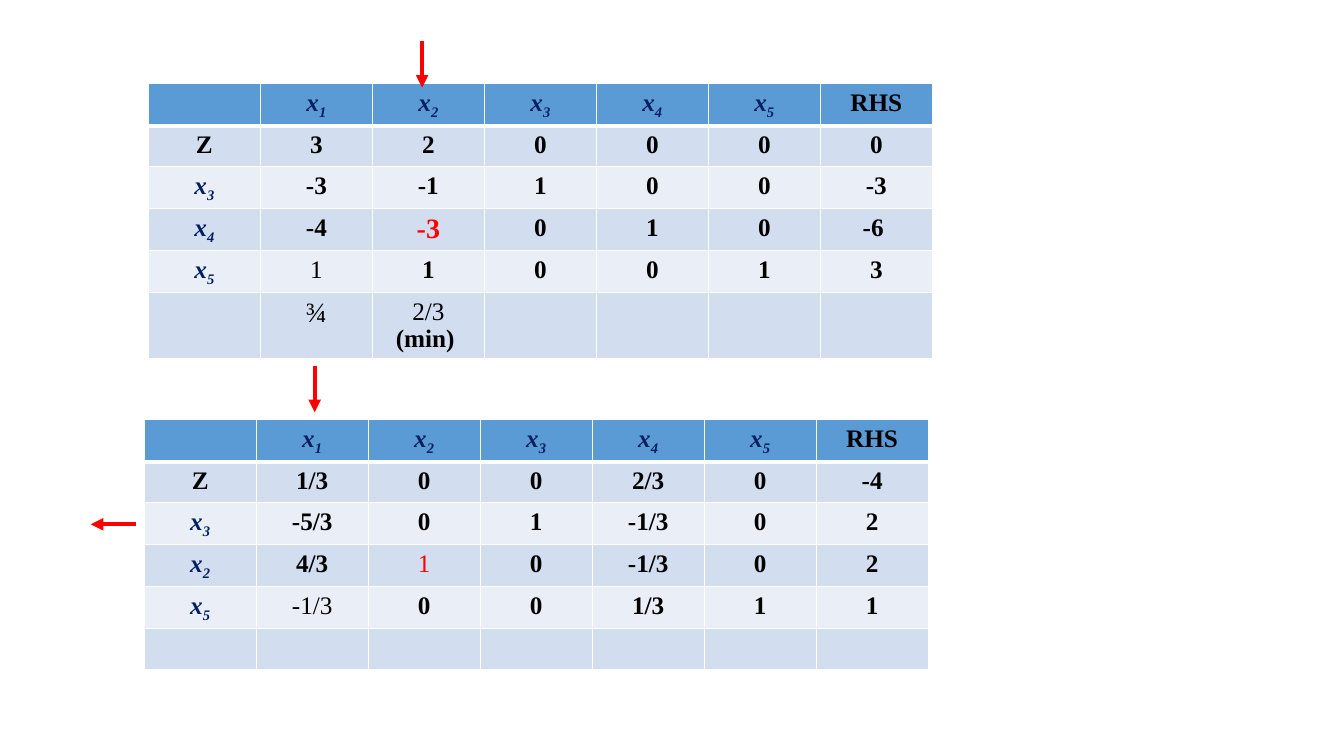
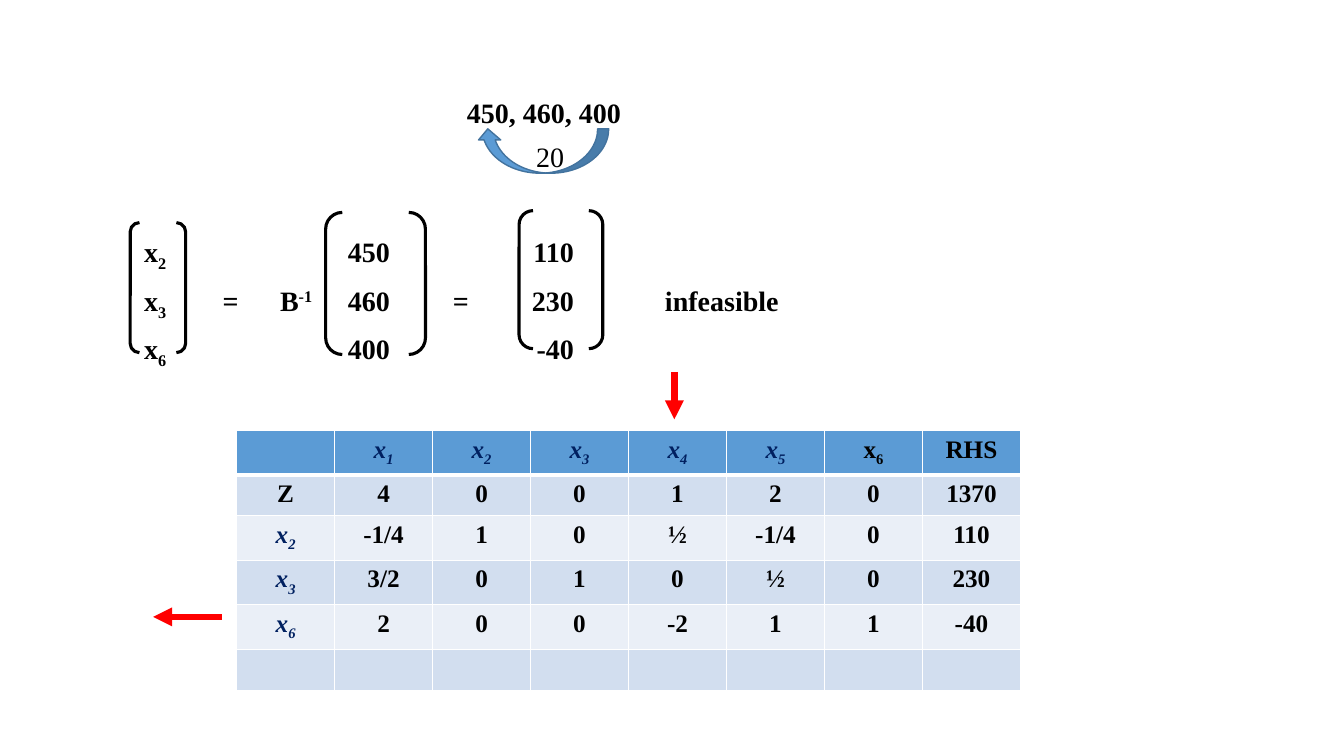
from lxml import etree
from pptx import Presentation
from pptx.dml.color import RGBColor
from pptx.enum import shapes, text
from pptx.oxml import ns
from pptx.util import Pt

# Shared look
BLACK = RGBColor(0x00, 0x00, 0x00)
WHITE = RGBColor(0xFF, 0xFF, 0xFF)
NAVY = RGBColor(0x00, 0x20, 0x60)
RED = RGBColor(0xFF, 0x00, 0x00)
BLUE = RGBColor(0x5B, 0x9B, 0xD5)
BLUE_EDGE = RGBColor(0x43, 0x73, 0x9E)
BAND_DARK = RGBColor(0xD2, 0xDE, 0xEF)
BAND_LIGHT = RGBColor(0xEA, 0xEF, 0xF7)

FONT = "Times New Roman"
CELL = {"size": 18, "bold": True, "italic": False, "color": BLACK}
VARIABLE = {**CELL, "italic": True, "color": NAVY}
FORMULA = {**CELL, "size": 20}
SCRIPTS = {"_": "-25000", "^": "30000"}
ROW_HEIGHT = 29.2


def write_span(para, words, style, baseline=None):
    span = para.add_run()
    span.text = words
    formats = {"name": FONT, **style, "size": Pt(style["size"])}
    span.font.color.rgb = formats.pop("color")
    for name, value in formats.items():
        setattr(span.font, name, value)
    if baseline:
        span._r.get_or_add_rPr().set("baseline", baseline)


def write_line(para, line, style):
    """Write tabbed fields; _ lowers and ^ raises the rest of a field."""
    for index, field in enumerate(line.split("\t")):
        mark = next((sign for sign in SCRIPTS if sign in field), None)
        base, _, script = field.partition(mark) if mark else (field, "", "")
        write_span(para, "\t" * (index > 0) + base, style)
        if mark:
            write_span(para, script, style, SCRIPTS[mark])


def add_borders(cell, row):
    properties = cell._tc.get_or_add_tcPr()
    for side in ("lnL", "lnR", "lnT", "lnB"):
        thick = (row, side) in ((0, "lnB"), (1, "lnT"))
        edge = etree.SubElement(properties, ns.qn(f"a:{side}"), w=str(Pt(3 if thick else 1)))
        fill = etree.SubElement(edge, ns.qn("a:solidFill"))
        etree.SubElement(fill, ns.qn("a:srgbClr"), val=str(WHITE))


def add_tableau(page, box, rows, special=None):
    """Simplex tableau; special maps (row, column, line) to a text style."""
    left, top, width = box
    special = special or {}
    frame = page.shapes.add_table(len(rows), len(rows[0]), Pt(left), Pt(top),
                                  Pt(width), Pt(ROW_HEIGHT * len(rows)))
    table = frame.table
    for column in table.columns:
        column.width = Pt(width / len(rows[0]))
    for r, values in enumerate(rows):
        table.rows[r].height = Pt(ROW_HEIGHT)
        for c, value in enumerate(values):
            cell = table.cell(r, c)
            add_borders(cell, r)
            cell.fill.solid()
            cell.fill.fore_color.rgb = BLUE if r == 0 else BAND_DARK if r % 2 else BAND_LIGHT
            if not value:
                continue
            for number, line in enumerate(value.split("\n")):
                paras = cell.text_frame.paragraphs
                para = cell.text_frame.add_paragraph() if number else paras[0]
                para.alignment = text.PP_ALIGN.CENTER
                usual = VARIABLE if "_" in line else CELL
                write_line(para, line, {**usual, **special.get((r, c, number), {})})


def add_arrow(page, start, end, weight):
    arrow = page.shapes.add_connector(shapes.MSO_CONNECTOR.STRAIGHT,
                                      *(Pt(value) for value in (*start, *end)))
    arrow.line.color.rgb = RED
    arrow.line.width = Pt(weight)
    etree.SubElement(arrow.line._get_or_add_ln(), ns.qn("a:tailEnd"), type="triangle")
    etree.SubElement(arrow._element.spPr, ns.qn("a:effectLst"))


def add_lines(page, box, lines, stops):
    """Text box of (line, style) pairs; stops are (position, alignment) pairs."""
    frame = page.shapes.add_textbox(*(Pt(value) for value in box)).text_frame
    frame.word_wrap = True
    for side in ("left", "top", "right", "bottom"):
        setattr(frame, f"margin_{side}", 0)
    for number, (line, style) in enumerate(lines):
        para = frame.add_paragraph() if number else frame.paragraphs[0]
        tabs = etree.SubElement(para._p.get_or_add_pPr(), ns.qn("a:tabLst"))
        for position, side in stops:
            etree.SubElement(tabs, ns.qn("a:tab"), pos=str(Pt(position)), algn=side)
        para.line_spacing = 0.9
        para.space_before = Pt(10 if number else 0)
        write_line(para, line, style)


def add_outline(page, kind, box, edge, weight, fill=None):
    shape = page.shapes.add_shape(kind, *(Pt(value) for value in box))
    shape.shadow.inherit = False
    shape.line.color.rgb = edge
    shape.line.width = Pt(weight)
    if fill is None:
        shape.fill.background()
    else:
        shape.fill.solid()
        shape.fill.fore_color.rgb = fill
    return shape


def add_sequence(page, left, top):
    """Right-hand sides with the swap arrow below them."""
    add_lines(page, (left, top, 130, 54),
              [("450, 460, 400", FORMULA), ("\t20", {**FORMULA, "bold": False})], [(49.5, "l")])
    swap = add_outline(page, shapes.MSO_SHAPE.CURVED_DOWN_ARROW,
                       (left + 7, top + 21, 94.3, 31.7), BLUE_EDGE, 1, BLUE)
    swap.rotation = 180


def add_equation(page, left, top):
    """Matrix product with its three bracketed columns."""
    lines = ["x_2\t\t\t450\t\t110",
             "x_3\t=\tB^-1\t460\t=\t230\tinfeasible",
             "x_6\t\t\t400\t\t-40"]
    stops = [(56, "l"), (97, "l"), (145.5, "l"), (220.5, "l"), (307, "r"), (372, "l")]
    add_lines(page, (left, top, 480, 96), [(line, FORMULA) for line in lines], stops)
    for x, y, width, height in ((-10, -9, 39.6, 92.9), (129.6, -16.3, 71.3, 101.5),
                                (267.8, -17.5, 59.8, 98.6)):
        add_outline(page, shapes.MSO_SHAPE.DOUBLE_BRACKET,
                    (left + x, top + y, width, height), BLACK, 2.25)


def build_iterations(page):
    regular = {"bold": False}
    add_tableau(page, (106, 59.8, 560), [
        ["", "x_1", "x_2", "x_3", "x_4", "x_5", "RHS"],
        ["Z", "3", "2", "0", "0", "0", "0"],
        ["x_3", "-3", "-1", "1", "0", "0", "-3"],
        ["x_4", "-4", "-3", "0", "1", "0", "-6 "],
        ["x_5", "1", "1", "0", "0", "1", "3"],
        ["", "¾", "2/3\n(min) ", "", "", "", ""],
    ], {(3, 2, 0): {"size": 20, "color": RED}, (4, 1, 0): regular,
        (5, 1, 0): {"size": 20, "bold": False}, (5, 2, 0): regular})
    add_arrow(page, (97.2, 374.5), (64.8, 374.5), 3)
    add_arrow(page, (301.5, 29.5), (301.5, 62.6), 3)
    add_tableau(page, (103, 299.8, 560), [
        ["", "x_1", "x_2", "x_3", "x_4", "x_5", "RHS"],
        ["Z", "1/3", "0", "0", "2/3", "0", "-4"],
        ["x_3", "-5/3", "0", "1", "-1/3", "0", "2"],
        ["x_2", "4/3", "1", "0", "-1/3", "0", "2"],
        ["x_5", "-1/3", "0", "0", "1/3", "1", "1"],
        [""] * 7,
    ], {(3, 2, 0): {"bold": False, "color": RED}, (4, 1, 0): regular})
    add_arrow(page, (224.8, 261.4), (224.8, 294.5), 3)


def build_infeasible_case(page):
    add_sequence(page, 333.5, 71)
    add_equation(page, 103, 168)
    add_tableau(page, (169, 307.5, 560), [
        ["", "x_1", "x_2", "x_3", "x_4", "x_5", "x_6", "RHS"],
        ["Z", "4", "0", "0", "1", "2", "0", "1370"],
        ["x_2", "-1/4", "1", "0", "½", "-1/4", "0", "110"],
        ["x_3", "3/2", "0", "1", "0", "½", "0", "230"],
        ["x_6", "2", "0", "0", "-2", "1", "1", "-40"],
        [""] * 8,
    ], {(0, 6, 0): CELL})
    add_arrow(page, (158.4, 440.6), (109.4, 440.6), 4.5)
    add_arrow(page, (481.7, 265.7), (481.7, 299.5), 4.5)


def main():
    deck = Presentation()
    deck.slide_width, deck.slide_height = Pt(960), Pt(540)
    for build in (build_iterations, build_infeasible_case):
        build(deck.slides.add_slide(deck.slide_layouts[6]))
    deck.save("out.pptx")


if __name__ == "__main__":
    main()
